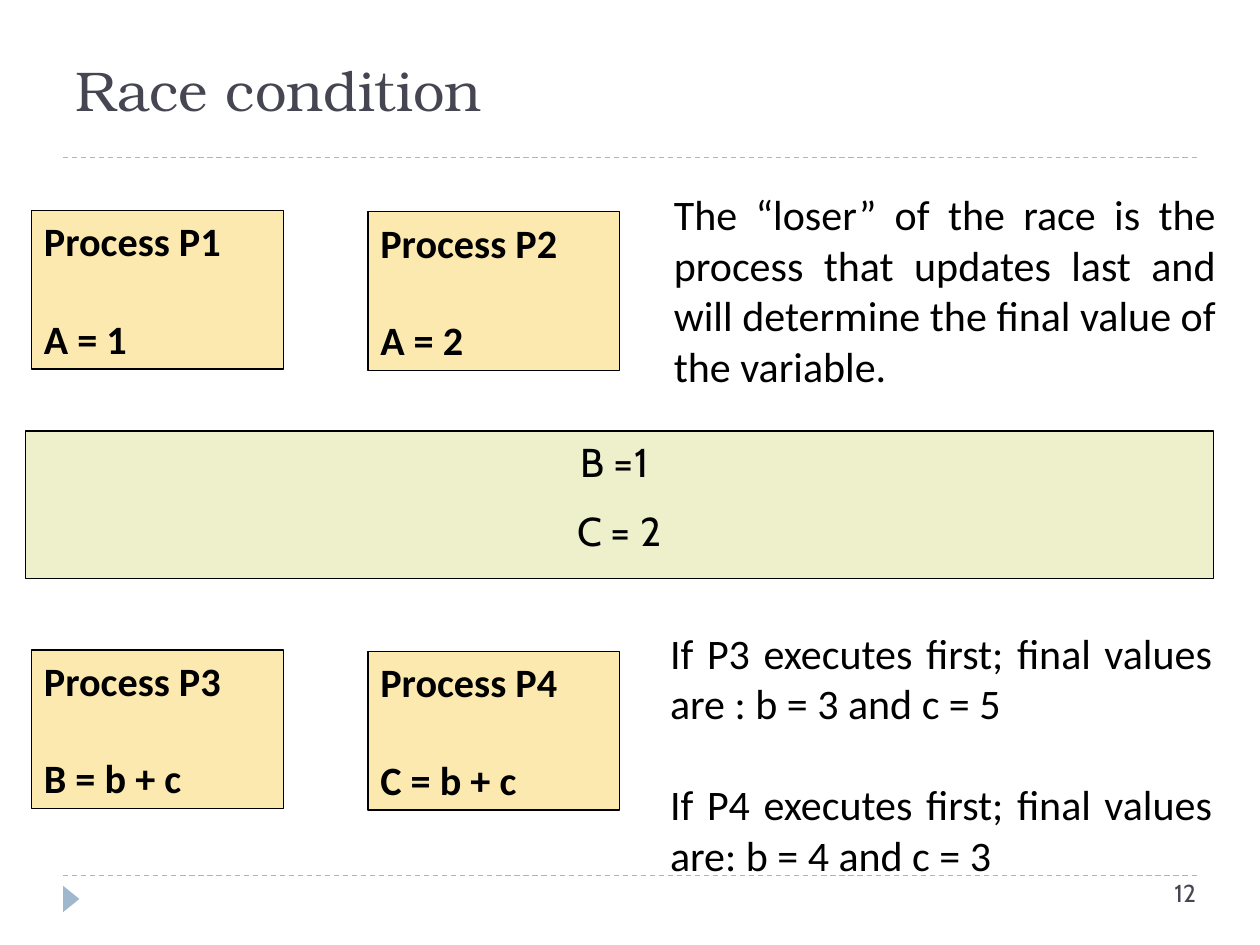
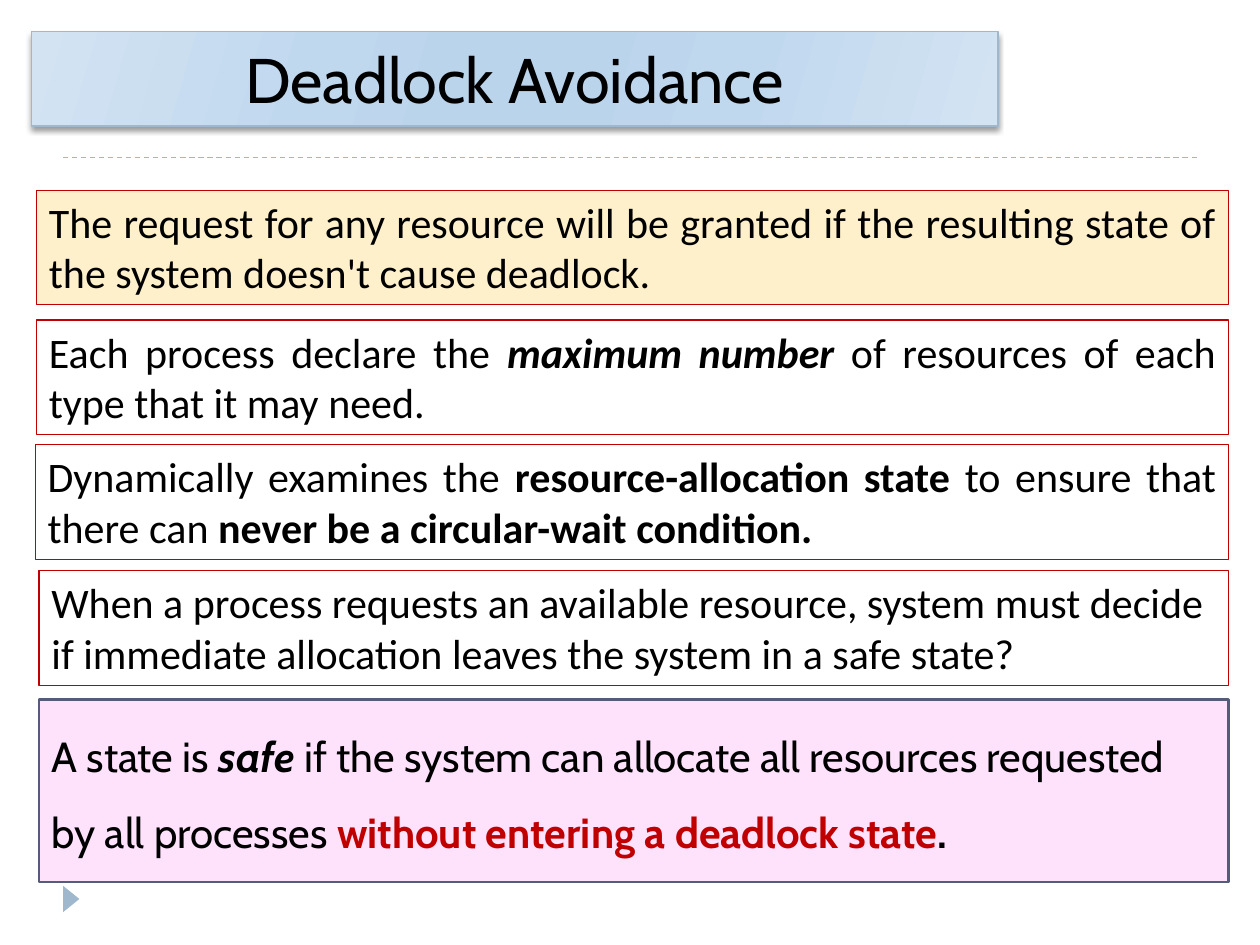
from collections import namedtuple

from lxml import etree
from pptx import Presentation
from pptx import util as u
from pptx.dml.color import RGBColor
from pptx.enum import dml, shapes, text
from pptx.oxml import ns

COLUMNS, ROWS = 100, 75
CELL = u.Inches(0.1)
BLACK, SLATE, BLUE, RED, WHITE = "000000", "464653", "9FB8CD", "C00000", "FFFFFF"
SAND, CREAM, LIME, PINK, INDIGO = "FCE9AF", "FDF0CA", "EDF0CA", "FEE2FC", "545C79"
BODY_FONT, PLAIN_FONT, TITLE_FONT = "Cabin", "Calibri", "TeX Gyre Bonum"
BAND_STOPS = {0: "D3E3F2", 30: "C0D8EE", 45: "BAD4EC", 55: "BAD4EC", 73: "C0D8EE", 100: "D3E3F2"}
LEFT, CENTER = text.PP_ALIGN.LEFT, text.PP_ALIGN.CENTER
RIGHT, JUSTIFY = text.PP_ALIGN.RIGHT, text.PP_ALIGN.JUSTIFY
TOP, MIDDLE = text.MSO_ANCHOR.TOP, text.MSO_ANCHOR.MIDDLE

Box = namedtuple("Box", "left top width height")


def colour(value):
    """Turn a hex string into a colour."""
    return RGBColor.from_string(value)


def cells(*counts):
    """Turn grid cells into lengths."""
    return [u.Emu(round(count * CELL)) for count in counts]


def set_all(target, values):
    """Set the attributes of an object from a dict."""
    for name, value in values.items():
        setattr(target, name, value)


def add_element(parent, tag, **attributes):
    """Append a drawing element with its attributes."""
    return etree.SubElement(parent, ns.qn(f"a:{tag}"), attributes)


def write(shape, paragraphs, font, size, align=LEFT, anchor=TOP, ink=BLACK, bold=False, gap=0, spacing=None):
    """Write paragraphs, each a list of (text, format) spans."""
    frame = shape.text_frame
    set_all(frame, {"word_wrap": True, "auto_size": text.MSO_AUTO_SIZE.NONE, "vertical_anchor": anchor})
    for index, spans in enumerate(paragraphs):
        para = frame.add_paragraph() if index else frame.paragraphs[0]
        set_all(para, {"alignment": align, "line_spacing": spacing})
        if index:
            para.space_before = u.Pt(gap)
        for wording, changes in spans:
            values = {"name": font, "size": u.Pt(size), "bold": bold, "ink": ink} | changes
            span = para.add_run()
            span.text = wording
            span.font.color.rgb = colour(values.pop("ink"))
            set_all(span.font, values)


def plain(*lines):
    """Make each line a paragraph with one unformatted span."""
    return [[(line, {})] for line in lines]


def add_panel(page, box, fill=None, edge=BLACK, weight=0.75, kind=shapes.MSO_SHAPE.RECTANGLE):
    """Add a flat shape with an optional fill and edge."""
    panel = page.shapes.add_shape(kind, *cells(*box))
    panel.shadow.inherit = False
    if fill:
        panel.fill.solid()
        panel.fill.fore_color.rgb = colour(fill)
    else:
        panel.fill.background()
    if edge:
        panel.line.color.rgb = colour(edge)
        panel.line.width = u.Pt(weight)
    else:
        panel.line.fill.background()
    return panel


def add_rule(page, row):
    """Draw a dashed rule across the page."""
    margin = COLUMNS * 0.05
    ends = cells(margin, row, COLUMNS - margin, row)
    rule = page.shapes.add_connector(shapes.MSO_CONNECTOR.STRAIGHT, *ends)
    rule.line.color.rgb = colour(BLUE)
    set_all(rule.line, {"width": u.Pt(0.75), "dash_style": dml.MSO_LINE.DASH})
    add_element(rule._element.spPr, "effectLst")


def add_page(deck):
    """Add a title-only page with the shared rule and corner marker."""
    page = deck.slides.add_slide(deck.slide_layouts[5])
    add_rule(page, 12.5)
    marker = add_panel(page, Box(4.6, 70.7, 2.1, 1.3), BLUE, None, kind=shapes.MSO_SHAPE.ISOSCELES_TRIANGLE)
    marker.rotation = 90
    return page


def add_title(page, box, wording, font, size, ink, align=LEFT):
    """Move and format the title placeholder."""
    title = page.shapes.title
    set_all(title, dict(zip(box._fields, cells(*box))))
    write(title, plain(wording), font, size, align, MIDDLE, ink)
    return title


def add_band(title):
    """Give a title a gradient band with a soft shadow."""
    title.fill.gradient()
    title.fill.gradient_angle = 344
    title.line.color.rgb = colour(BLUE)
    title.line.width = u.Pt(0.75)
    properties = title._element.spPr
    stops = properties.find(".//" + ns.qn("a:gsLst"))
    for stop in list(stops):
        stops.remove(stop)
    for share, shade in BAND_STOPS.items():
        add_element(add_element(stops, "gs", pos=str(share * 1000)), "srgbClr", val=shade)
    shadow = add_element(add_element(properties, "effectLst"), "outerShdw", blurRad=str(u.Pt(3)),
                         dist=str(u.Pt(2)), dir="5400000", algn="ctr", rotWithShape="0")
    add_element(add_element(shadow, "srgbClr", val=BLACK), "alpha", val="40000")


def add_note(page, box, paragraphs, gap=0, font=PLAIN_FONT, size=24, align=JUSTIFY, ink=BLACK):
    """Add a text box."""
    note = page.shapes.add_textbox(*cells(*box))
    write(note, paragraphs, font, size, align, ink=ink, gap=gap)


def add_process_row(page, box, processes):
    """Place process cards at the two ends of a box, the second slightly lower."""
    width = 20
    for index, lines in enumerate(processes):
        place = Box(box.left + index * (box.width - width), box.top + index * 0.1, width, box.height)
        card = add_panel(page, place, SAND)
        write(card, plain(*lines), PLAIN_FONT, 23, JUSTIFY, bold=True, gap=28)


def build_race_condition(deck):
    """Build the race condition page."""
    page = add_page(deck)
    add_rule(page, 69.5)
    add_title(page, Box(5, 1.7, 90, 10.8), "Race condition", TITLE_FONT, 32, SLATE)
    add_note(page, Box(74.2, 69.2, 21.7, 4), plain("12"), font=BODY_FONT, size=14, align=RIGHT, ink=SLATE)
    values = add_panel(page, Box(2, 34.2, 94.3, 11.7), LIME)
    write(values, plain("B =1 ", "C = 2"), BODY_FONT, 23, CENTER, gap=12)
    add_process_row(page, Box(2.5, 16.7, 46.7, 12.6), [("Process P1", "A = 1"), ("Process P2", "A = 2")])
    add_process_row(page, Box(2.5, 51.6, 46.7, 12.6), [("Process P3", "B = b + c"), ("Process P4", "C = b + c")])
    add_note(page, Box(52.5, 14.5, 45, 17.2), plain(
        "The “loser” of the race is the process that updates last and will determine "
        "the final value of the variable."))
    add_note(page, Box(52.2, 49.3, 45, 21.2), plain(
        "If P3 executes first; final values are : b = 3 and c = 5",
        "If P4 executes first; final values are: b = 4 and c = 3"), gap=29)


def add_statements(page, box, statements):
    """Stack outlined statements that share the right edge of a box."""
    for indent, top, fill, align, spans in statements:
        place = Box(box.left + indent, box.top + top, box.width - indent, 9.1)
        write(add_panel(page, place, fill, RED), [spans], PLAIN_FONT, 24, align)


def build_deadlock_avoidance(deck):
    """Build the deadlock avoidance page."""
    page = add_page(deck)
    add_band(add_title(page, Box(2.5, 2.5, 76.7, 7.5), "Deadlock Avoidance", BODY_FONT, 36, BLACK, CENTER))
    strong, stressed = {"bold": True}, {"bold": True, "italic": True}
    add_statements(page, Box(2.8, 15.1, 94.7, 39.3), [
        (0.1, 0, CREAM, JUSTIFY, [
            ("The request for any resource will be granted if the resulting state of "
             "the system doesn't cause deadlock.", {})]),
        (0.1, 10.3, WHITE, JUSTIFY, [
            ("Each process declare the ", {}), ("maximum number ", stressed),
            ("of resources of each type that it may need.", {})]),
        (0, 20.2, None, JUSTIFY, [
            ("Dynamically examines the ", {}), ("resource-allocation state ", strong),
            ("to ensure that there can ", {}), ("never be a circular-wait condition.", strong)]),
        (0.3, 30.2, None, LEFT, [
            ("When a process requests an available resource, system must decide "
             "if immediate allocation leaves the system in a safe state?", {})]),
    ])
    summary = add_panel(page, Box(3.1, 55.5, 94.4, 14.5), PINK, INDIGO, 1.5)
    write(summary, [[
        ("A state is ", {}), ("safe", stressed),
        (" if the system can allocate all resources requested by all processes ", {}),
        ("without entering a deadlock state", strong | {"ink": RED}), (".", strong),
    ]], BODY_FONT, 24, spacing=1.5)


def main():
    """Build and save the deck."""
    deck = Presentation()
    deck.slide_width, deck.slide_height = cells(COLUMNS, ROWS)
    build_race_condition(deck)
    build_deadlock_avoidance(deck)
    deck.save("out.pptx")


if __name__ == "__main__":
    main()
